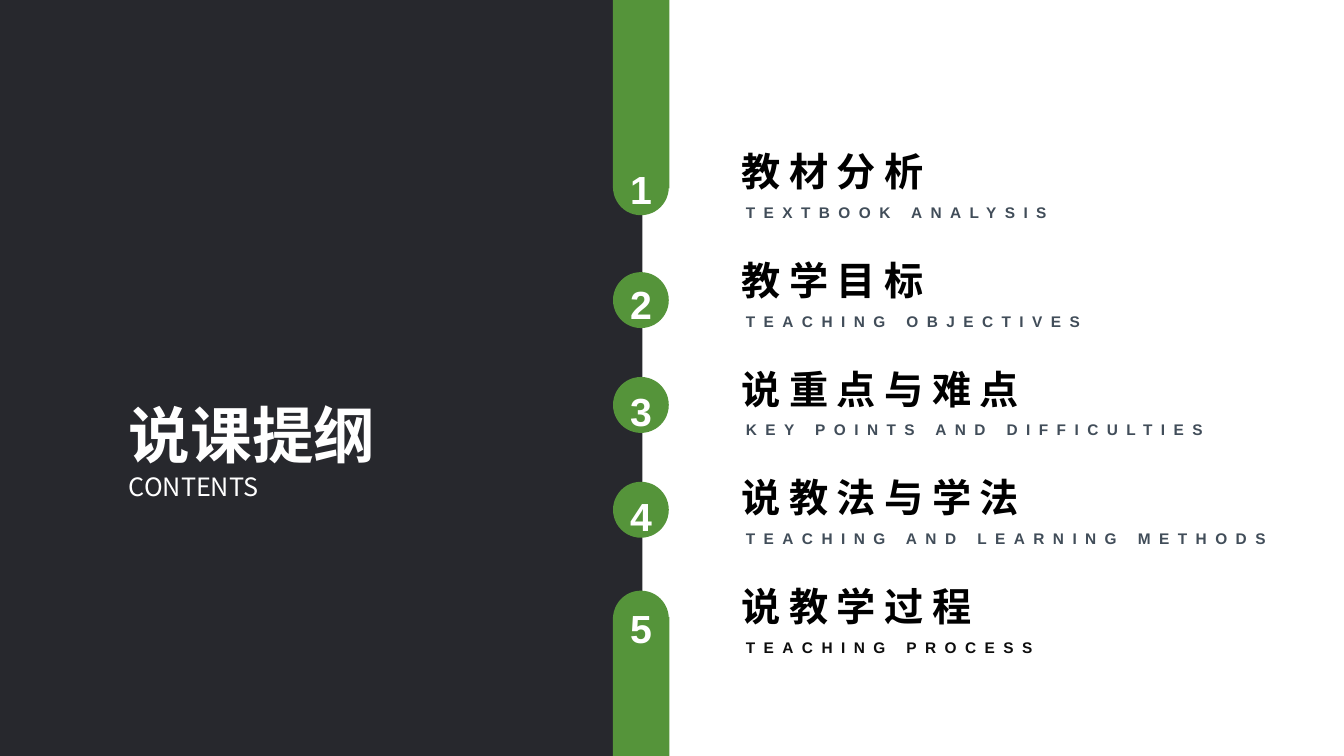
from dataclasses import dataclass

import pptx
import pptx.dml.color
import pptx.enum.shapes
import pptx.enum.text
import pptx.oxml.ns
import pptx.util

SLIDE_WIDTH = pptx.util.Inches(13.33)
SLIDE_HEIGHT = pptx.util.Inches(7.5)

DARK = pptx.dml.color.RGBColor(0x27, 0x28, 0x2D)
GREEN = pptx.dml.color.RGBColor(0x55, 0x94, 0x3A)
WHITE = pptx.dml.color.RGBColor(0xFF, 0xFF, 0xFF)
BLACK = pptx.dml.color.RGBColor(0x00, 0x00, 0x00)
SLATE = pptx.dml.color.RGBColor(0x41, 0x4D, 0x59)
NEAR_BLACK = pptx.dml.color.RGBColor(0x0D, 0x0D, 0x0D)

CHINESE_FONT = "Noto Sans CJK SC"
LATIN_FONT = "Arial"
RECTANGLE = pptx.enum.shapes.MSO_SHAPE.RECTANGLE
OVAL = pptx.enum.shapes.MSO_SHAPE.OVAL
JUSTIFY = pptx.enum.text.PP_ALIGN.JUSTIFY


@dataclass(frozen=True)
class Area:
    """A box in percent of the slide's width and height."""
    left: float
    top: float
    width: float
    height: float

    def emu(self) -> tuple[int, int, int, int]:
        return (int(SLIDE_WIDTH * self.left / 100), int(SLIDE_HEIGHT * self.top / 100),
                int(SLIDE_WIDTH * self.width / 100), int(SLIDE_HEIGHT * self.height / 100))


@dataclass(frozen=True)
class Line:
    text: str
    size: float
    font: str
    color: pptx.dml.color.RGBColor
    bold: bool = True
    tracking: float = 0
    spacing: float = 1
    align: pptx.enum.text.PP_ALIGN | None = None


@dataclass(frozen=True)
class Topic:
    chinese: str
    english: str
    badge_top: float
    number_top: float
    english_color: pptx.dml.color.RGBColor = SLATE
    english_width: float = 39.76


TOPICS = [
    Topic("教材分析", "TEXTBOOK ANALYSIS", 21.07, 20.67),
    Topic("教学目标", "TEACHING OBJECTIVES", 36, 35.87),
    Topic("说重点与难点", "KEY POINTS AND DIFFICULTIES", 49.87, 50),
    Topic("说教法与学法", "TEACHING AND LEARNING METHODS", 63.73, 63.87,
          english_width=42.09),
    Topic("说教学过程", "TEACHING PROCESS", 78.13, 78.8, NEAR_BLACK),
]
FIRST_TOPIC_TOP = 19.47
TOPIC_STEP = 14.4
BADGE_LEFT = 45.61
BADGE_WIDTH = 4.15
BADGE_HEIGHT = 7.4


def add_block(slide, kind: pptx.enum.shapes.MSO_SHAPE, area: Area,
              color: pptx.dml.color.RGBColor) -> None:
    block = slide.shapes.add_shape(kind, *area.emu())
    block.shadow.inherit = False
    block.fill.solid()
    block.fill.fore_color.rgb = color
    block.line.fill.background()


def add_text(slide, area: Area, lines: list[Line], inset: float = 0.05,
             wrap: bool = True) -> None:
    frame = slide.shapes.add_textbox(*area.emu()).text_frame
    frame.word_wrap = wrap
    frame.margin_top = pptx.util.Inches(inset)
    frame.text = "\n".join(line.text for line in lines)
    for paragraph, line in zip(frame.paragraphs, lines):
        paragraph.alignment = line.align
        paragraph.line_spacing = line.spacing
        run = paragraph.runs[0]
        run.font.size = pptx.util.Pt(line.size)
        run.font.bold = line.bold
        run.font.color.rgb = line.color
        run.font.name = line.font
        # East Asian typeface and letter spacing
        properties = run.font._element
        east_asian = properties.makeelement(pptx.oxml.ns.qn("a:ea"), {"typeface": line.font})
        properties.find(pptx.oxml.ns.qn("a:latin")).addnext(east_asian)
        if line.tracking:
            properties.set("spc", str(int(line.tracking * 100)))


def add_topic(slide, index: int, topic: Topic) -> None:
    top = FIRST_TOPIC_TOP + index * TOPIC_STEP
    add_text(slide, Area(54.46, top, 23.5, 7.6),
             [Line(topic.chinese, 28, CHINESE_FONT, BLACK, tracking=6)], inset=0, wrap=False)
    add_text(slide, Area(54.76, top + 6.35, topic.english_width, 3.87),
             [Line(topic.english, 11, LATIN_FONT, topic.english_color,
                   tracking=6, spacing=1.14)])
    add_block(slide, OVAL, Area(BADGE_LEFT, topic.badge_top, BADGE_WIDTH, BADGE_HEIGHT), GREEN)
    add_text(slide, Area(46.14, topic.number_top, 4.05, 7.6),
             [Line(str(index + 1), 28, LATIN_FONT, WHITE)], inset=0.09)


def main() -> None:
    deck = pptx.Presentation()
    deck.slide_width = SLIDE_WIDTH
    deck.slide_height = SLIDE_HEIGHT
    slide = deck.slides.add_slide(deck.slide_layouts[6])

    # Dark panel with the title
    add_block(slide, RECTANGLE, Area(0, 0, 47.79, 100), DARK)
    add_text(slide, Area(8.85, 52.53, 27.83, 15.73), [
        Line("说课提纲", 44, CHINESE_FONT, WHITE, align=JUSTIFY),
        Line("CONTENTS", 18, CHINESE_FONT, WHITE, bold=False, align=JUSTIFY),
    ], inset=0)

    # Green bars running off the top and bottom
    add_block(slide, RECTANGLE, Area(BADGE_LEFT, 0, 4.2, 24.93), GREEN)
    add_block(slide, RECTANGLE, Area(BADGE_LEFT, 81.6, 4.2, 18.4), GREEN)

    # Numbered topics
    for index, topic in enumerate(TOPICS):
        add_topic(slide, index, topic)

    deck.save("out.pptx")


if __name__ == "__main__":
    main()
